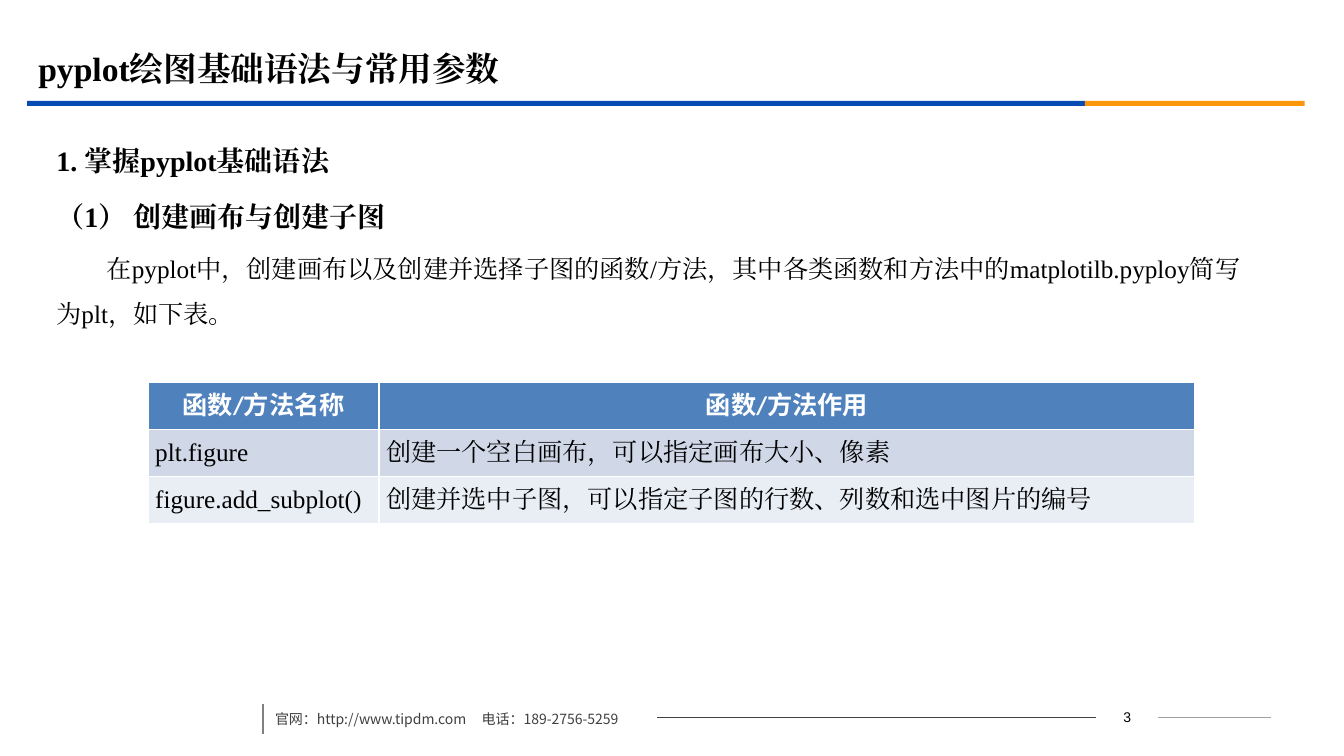
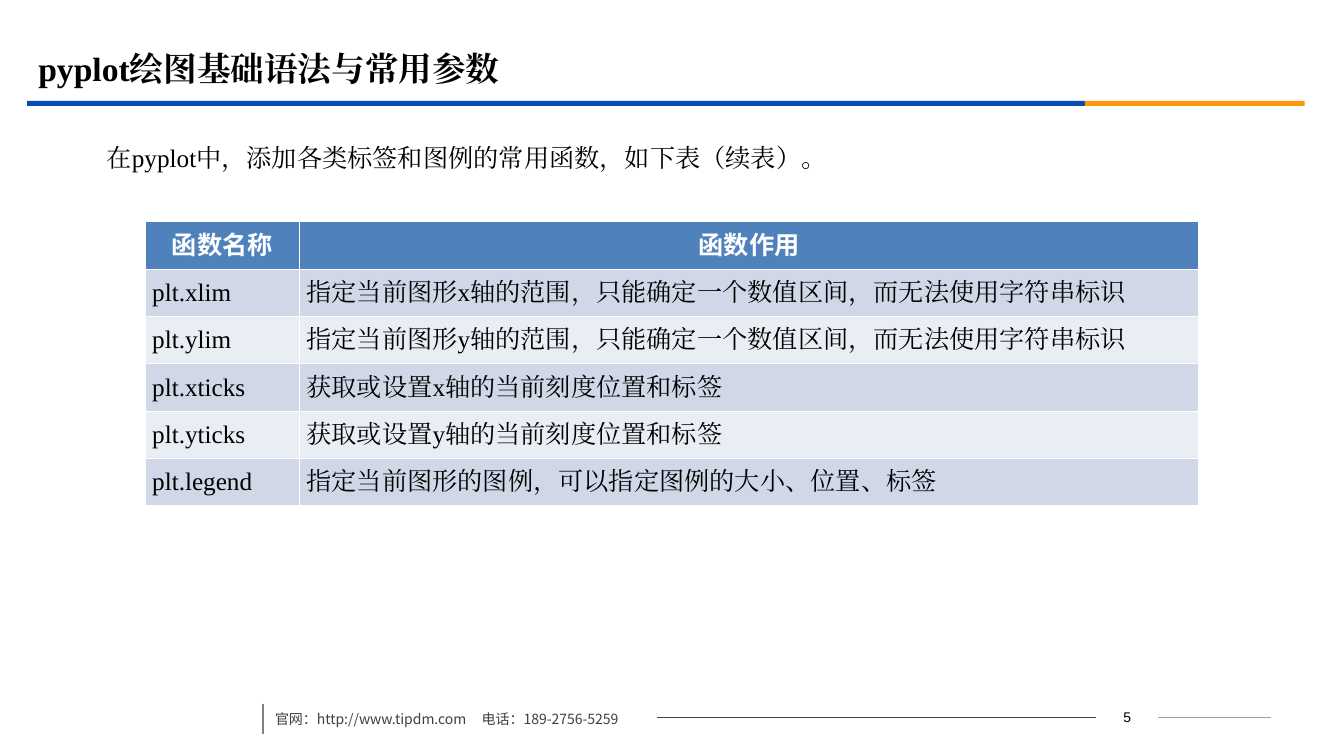
"""Build two slides about pyplot basics with shared title, bands and footer."""
from lxml import etree
from pptx import Presentation, util as u
from pptx.dml.color import RGBColor
from pptx.enum import shapes, text
from pptx.oxml.ns import qn

BLUE, ORANGE, BLACK, WHITE = "064BB2", "FB9708", "000000", "FFFFFF"
DARK_GREY, MID_GREY, LIGHT_GREY, FOOTER_GREY = "424242", "808080", "A0A0A0", "404040"
HEADER, BANDS = "4F81BD", ("D0D8E8", "E9EDF4")
SERIF, HEAD_FONT, FOOTER_FONT = "Times New Roman", "Calibri", "Noto Sans CJK SC"
TITLE = "pyplot绘图基础语法与常用参数"
ROW_HEIGHT = 0.47


def color(value):
    """Turn a hex string into a colour."""
    return RGBColor.from_string(value)


def box(left, top, width, height):
    """Return a position and size in inches."""
    return [u.Inches(v) for v in (left, top, width, height)]


def style(p, size, font, fill=BLACK, bold=False):
    """Format every run of a paragraph, East Asian text included."""
    for r in p.runs:
        r.font.size, r.font.name, r.font.bold = u.Pt(size), font, bold
        r.font.color.rgb = color(fill)
        etree.SubElement(r._r.get_or_add_rPr(), qn("a:ea"), typeface=font)


def add_band(s, left, width, fill):
    """Draw one piece of the band under the title."""
    sp = s.shapes.add_shape(shapes.MSO_SHAPE.RECTANGLE, *box(left, 1, width, 0.05))
    sp.shadow.inherit = False
    sp.fill.solid()
    sp.fill.fore_color.rgb = color(fill)
    sp.line.fill.background()


def add_line(s, x1, y1, x2, y2, fill, width):
    """Draw a straight line without shadow."""
    ends = [u.Inches(v) for v in (x1, y1, x2, y2)]
    line = s.shapes.add_connector(shapes.MSO_CONNECTOR.STRAIGHT, *ends)
    line.line.color.rgb = color(fill)
    line.line.width = u.Pt(width)
    etree.SubElement(line._element.spPr, qn("a:effectLst"))


def add_text(s, place, content):
    """Add a wrapping text box and return its text frame."""
    tf = s.shapes.add_textbox(*box(*place)).text_frame
    tf.word_wrap = True
    tf.text = content
    return tf


def add_footer(s, number):
    """Add contact details, rules and the page number."""
    add_line(s, 11.49, 7.12, 12.61, 7.12, LIGHT_GREY, 0.75)
    add_line(s, 6.52, 7.12, 10.87, 7.12, DARK_GREY, 0.75)
    add_line(s, 2.61, 6.98, 2.61, 7.28, MID_GREY, 1.25)
    tf = add_text(s, (10.87, 6.99, 0.62, 0.25), str(number))
    tf.vertical_anchor = text.MSO_ANCHOR.MIDDLE
    tf.paragraphs[0].alignment = text.PP_ALIGN.CENTER
    style(tf.paragraphs[0], 10, "Arial")
    tf = add_text(s, (2.63, 6.92, 5.36, 0.35),
                  "官网：http://www.tipdm.com\t电话：189-2756-5259")
    p = tf.paragraphs[0]
    p.line_spacing = 1.5
    tabs = etree.SubElement(p._p.get_or_add_pPr(), qn("a:tabLst"))
    etree.SubElement(tabs, qn("a:tab"), pos=str(u.Inches(2.05)), algn="l")
    style(p, 10, FOOTER_FONT, FOOTER_GREY)


def add_slide(prs, number):
    """Add a slide with the shared title, bands and footer."""
    s = prs.slides.add_slide(prs.slide_layouts[5])
    add_band(s, 0.27, 10.49, BLUE)
    add_band(s, 10.76, 2.18, ORANGE)
    add_footer(s, number)
    title = s.shapes.title
    title.left, title.top, title.width, title.height = box(0.28, 0.39, 12, 0.58)
    tf = title.text_frame
    tf.text = TITLE
    tf.auto_size = text.MSO_AUTO_SIZE.NONE
    tf.vertical_anchor = text.MSO_ANCHOR.MIDDLE
    tf.paragraphs[0].alignment = text.PP_ALIGN.LEFT
    style(tf.paragraphs[0], 24, SERIF, bold=True)
    return s


def add_body(s, body, headings=()):
    """Add bold headings followed by an indented paragraph."""
    tf = add_text(s, (0.46, 1.21, 12.15, 5.53), "\n".join([*headings, body]))
    for i, p in enumerate(tf.paragraphs):
        heading = i < len(headings)
        size = 20 if heading else 18
        p.line_spacing = 1.5
        p.space_before = u.Pt(size * 0.2 if i else 0)
        if not heading:
            p._p.get_or_add_pPr().set("indent", str(u.Inches(0.5)))
        style(p, size, SERIF, bold=heading)


def add_table(s, left, top, widths, rows):
    """Add a table with a blue header and banded rows."""
    place = box(left, top, sum(widths), ROW_HEIGHT * len(rows))
    table = s.shapes.add_table(len(rows), len(widths), *place).table
    for column, width in zip(table.columns, widths):
        column.width = u.Inches(width)
    for i, row in enumerate(rows):
        table.rows[i].height = u.Inches(ROW_HEIGHT)
        for cell, content in zip(table.rows[i].cells, row):
            cell.text = content
            cell.margin_left = cell.margin_right = u.Inches(0.07)
            cell.margin_top = cell.margin_bottom = 0
            cell.vertical_anchor = text.MSO_ANCHOR.MIDDLE
            cell.fill.solid()
            cell.fill.fore_color.rgb = color(BANDS[(i - 1) % 2] if i else HEADER)
            p = cell.text_frame.paragraphs[0]
            if i:
                p.alignment = text.PP_ALIGN.JUSTIFY
                style(p, 18, SERIF)
            else:
                p.alignment = text.PP_ALIGN.CENTER
                style(p, 18, HEAD_FONT, WHITE, True)


def main():
    """Build and save the presentation."""
    prs = Presentation()
    prs.slide_width, prs.slide_height = u.Inches(13.33), u.Inches(7.5)

    s = add_slide(prs, 3)
    add_body(s, "在pyplot中，创建画布以及创建并选择子图的函数/方法，"
                "其中各类函数和方法中的matplotilb.pyploy简写为plt，如下表。",
             ("1. 掌握pyplot基础语法", "（1） 创建画布与创建子图"))
    add_table(s, 1.47, 3.79, (2.29, 8.09), (
        ("函数/方法名称", "函数/方法作用"),
        ("plt.figure", "创建一个空白画布，可以指定画布大小、像素"),
        ("figure.add_subplot()", "创建并选中子图，可以指定子图的行数、列数和选中图片的编号"),
    ))

    s = add_slide(prs, 5)
    add_body(s, "在pyplot中，添加各类标签和图例的常用函数，如下表（续表）。")
    limit = "指定当前图形{}轴的范围，只能确定一个数值区间，而无法使用字符串标识"
    ticks = "获取或设置{}轴的当前刻度位置和标签"
    add_table(s, 1.44, 2.2, (1.53, 8.92), (
        ("函数名称", "函数作用"),
        ("plt.xlim", limit.format("x")),
        ("plt.ylim", limit.format("y")),
        ("plt.xticks", ticks.format("x")),
        ("plt.yticks", ticks.format("y")),
        ("plt.legend", "指定当前图形的图例，可以指定图例的大小、位置、标签"),
    ))
    prs.save("out.pptx")


if __name__ == "__main__":
    main()
